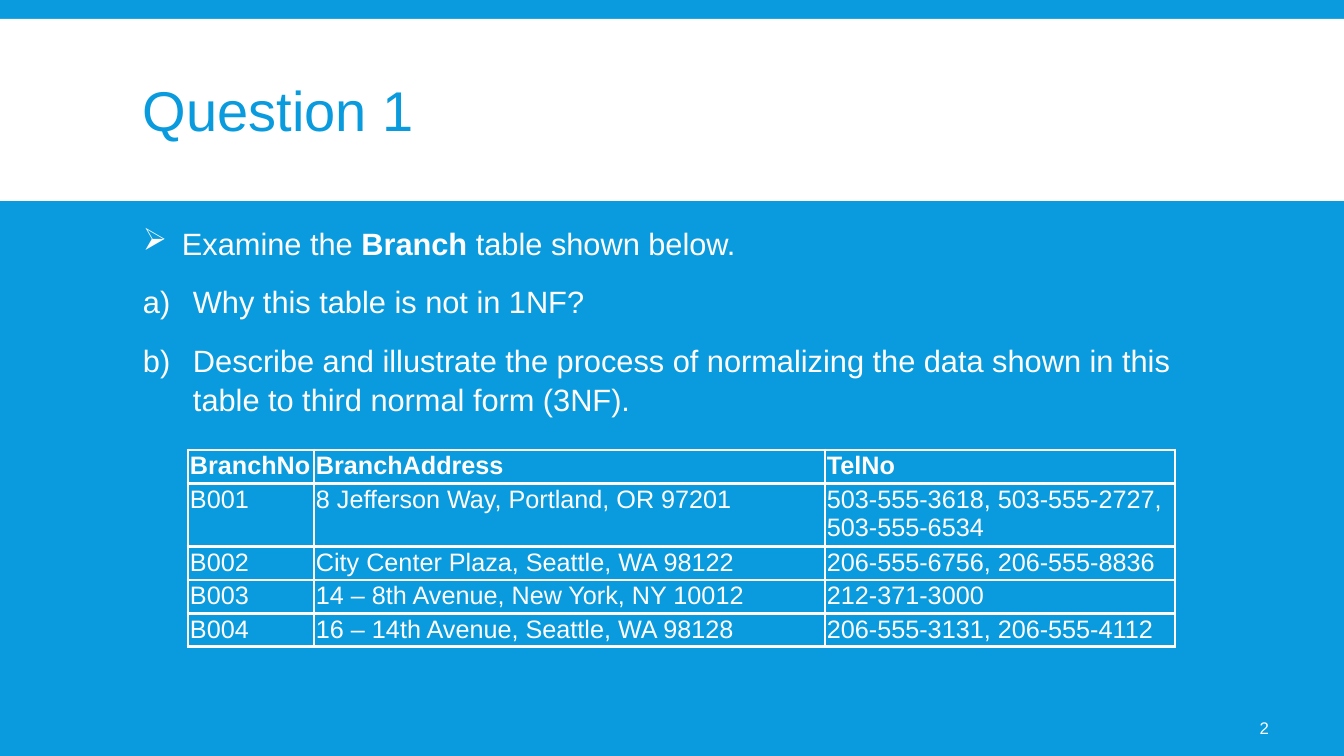
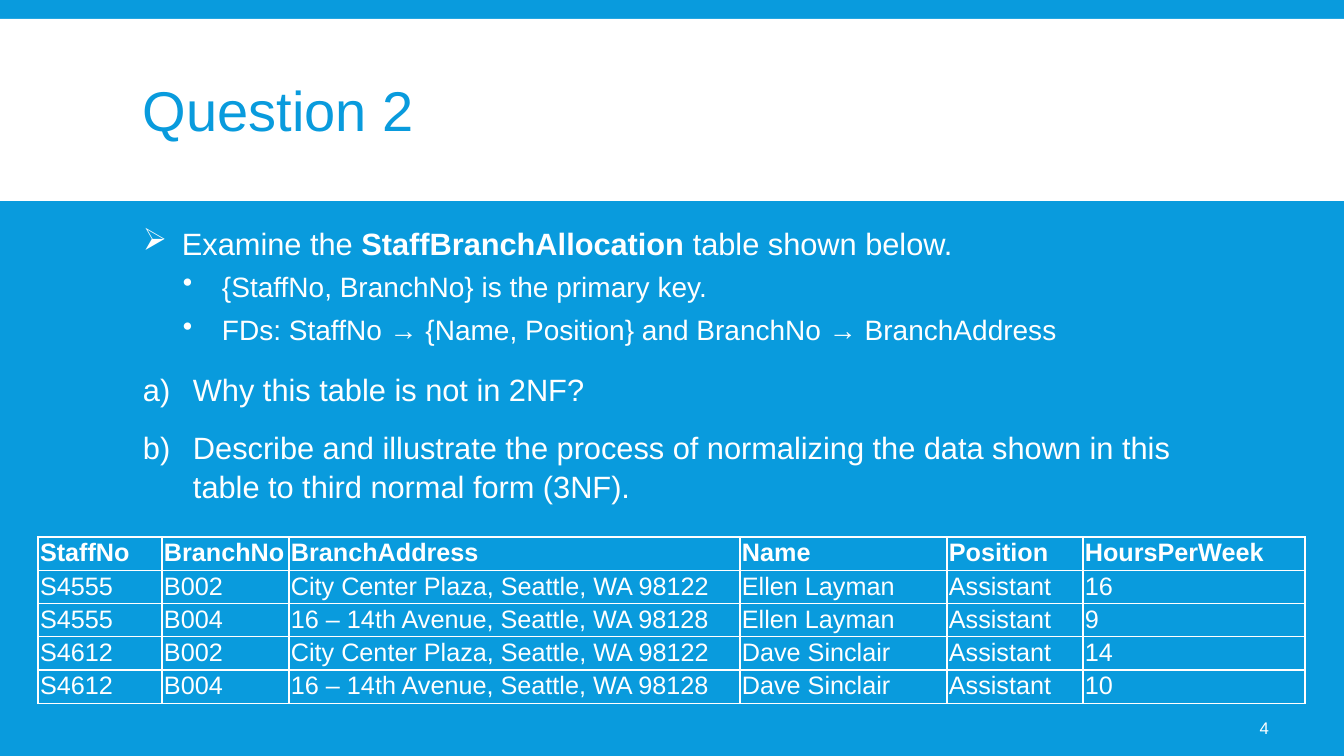
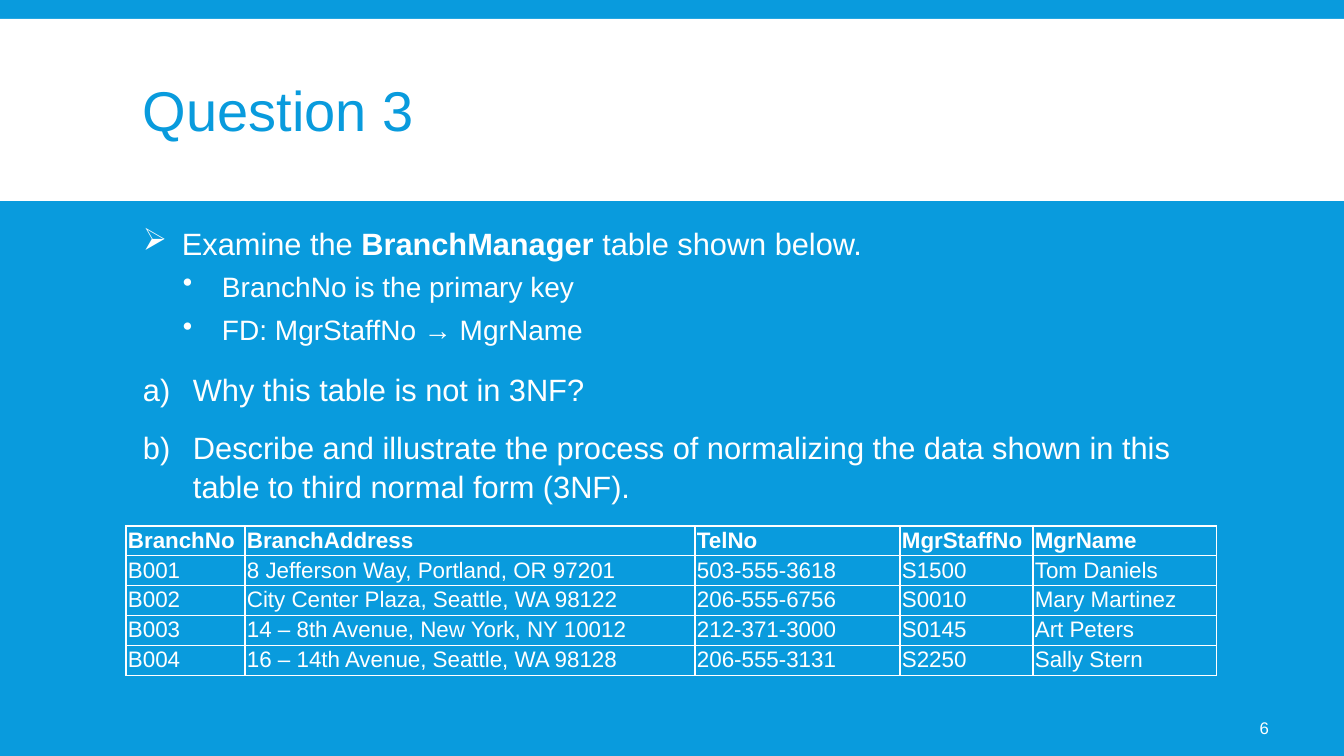
from dataclasses import dataclass
from typing import NamedTuple

from lxml.etree import SubElement
from pptx import Presentation
from pptx.dml.color import RGBColor
from pptx.enum.shapes import MSO_SHAPE
from pptx.enum.text import MSO_ANCHOR, PP_ALIGN
from pptx.oxml.ns import qn
from pptx.util import Emu, Pt

BLUE = RGBColor(0x09, 0x9B, 0xDD)
WHITE = RGBColor(0xFF, 0xFF, 0xFF)
FONT = "Arial"
SLIDE_WIDTH, SLIDE_HEIGHT = 1344, 756


def px(length: int) -> Emu:
    return Emu(round(length * 914400 / 100.8))


class Box(NamedTuple):
    left: int
    top: int
    width: int
    height: int

    def emu(self) -> list[Emu]:
        return [px(length) for length in self]


class Insets(NamedTuple):
    left: int
    top: int
    right: int
    bottom: int


BAND = Box(0, 19, SLIDE_WIDTH, 182)
TITLE = Box(133, 31, 1079, 166)
BODY = Box(133, 218, 1079, 464)
PAGE_NUMBER = Box(1175, 708, 104, 40)
TEXT_INSETS = Insets(10, 5, 10, 5)
NUMBER_INSETS = Insets(5, 5, 10, 5)
CELL_INSETS = Insets(2, 2, 2, 1)


class ListStyle(NamedTuple):
    size: int
    margin: int
    hanging: int
    before: int
    after: int
    bullet_tag: str
    bullet: dict[str, str]


LEAD = ListStyle(22, 39, 39, 12, 2, "a:buChar", {"char": "➢"})
FACT = ListStyle(20, 79, 39, 2, 4, "a:buChar", {"char": "•"})
TASK = ListStyle(22, 50, 50, 12, 2, "a:buAutoNum", {"type": "alphaLcParenR"})


@dataclass(frozen=True)
class DataTable:
    left: int
    top: int
    columns: tuple[int, ...]
    row_height: int
    size: int
    border: float
    rows: tuple[tuple[str, ...], ...]


@dataclass(frozen=True)
class Question:
    number: int
    table_name: str
    facts: tuple[str, ...]
    data: DataTable


PORTLAND = "8 Jefferson Way, Portland, OR 97201"
CITY_CENTER = "City Center Plaza, Seattle, WA 98122"
NEW_YORK = "14 – 8th Avenue, New York, NY 10012"
SEATTLE = "16 – 14th Avenue, Seattle, WA 98128"

QUESTIONS = (
    Question(1, "Branch", (), DataTable(
        188, 450, (126, 511, 350), 32, 18, 2.25, (
            ("BranchNo", "BranchAddress", "TelNo"),
            ("B001", PORTLAND, "503-555-3618, 503-555-2727, 503-555-6534"),
            ("B002", CITY_CENTER, "206-555-6756, 206-555-8836"),
            ("B003", NEW_YORK, "212-371-3000"),
            ("B004", SEATTLE, "206-555-3131, 206-555-4112"),
        ))),
    Question(2, "StaffBranchAllocation", (
        "{StaffNo, BranchNo} is the primary key.",
        "FDs: StaffNo → {Name, Position} and BranchNo → BranchAddress",
    ), DataTable(
        38, 537, (124, 127, 451, 207, 136, 222), 32, 18, 1, (
            ("StaffNo", "BranchNo", "BranchAddress", "Name", "Position", "HoursPerWeek"),
            ("S4555", "B002", CITY_CENTER, "Ellen Layman", "Assistant", "16"),
            ("S4555", "B004", SEATTLE, "Ellen Layman", "Assistant", "9"),
            ("S4612", "B002", CITY_CENTER, "Dave Sinclair", "Assistant", "14"),
            ("S4612", "B004", SEATTLE, "Dave Sinclair", "Assistant", "10"),
        ))),
    Question(3, "BranchManager", (
        "BranchNo is the primary key",
        "FD: MgrStaffNo → MgrName",
    ), DataTable(
        126, 526, (119, 450, 205, 133, 184), 29, 16, 1, (
            ("BranchNo", "BranchAddress", "TelNo", "MgrStaffNo", "MgrName"),
            ("B001", PORTLAND, "503-555-3618", "S1500", "Tom Daniels"),
            ("B002", CITY_CENTER, "206-555-6756", "S0010", "Mary Martinez"),
            ("B003", NEW_YORK, "212-371-3000", "S0145", "Art Peters"),
            ("B004", SEATTLE, "206-555-3131", "S2250", "Sally Stern"),
        ))),
)


def set_font(paragraph, size: int, color: RGBColor = WHITE, bold: bool = False) -> None:
    font = paragraph.font
    font.name, font.size, font.bold = FONT, Pt(size), bold
    font.color.rgb = color


def set_insets(target, insets: Insets) -> None:
    """Apply insets to a text frame or a table cell."""
    target.margin_left, target.margin_top = px(insets.left), px(insets.top)
    target.margin_right, target.margin_bottom = px(insets.right), px(insets.bottom)


def add_text_frame(slide, box: Box, anchor: MSO_ANCHOR, insets: Insets = TEXT_INSETS):
    frame = slide.shapes.add_textbox(*box.emu()).text_frame
    frame.word_wrap = True
    frame.vertical_anchor = anchor
    set_insets(frame, insets)
    return frame


def add_band(slide) -> None:
    band = slide.shapes.add_shape(MSO_SHAPE.RECTANGLE, *BAND.emu())
    band.shadow.inherit = False
    band.fill.solid()
    band.fill.fore_color.rgb = WHITE
    band.line.fill.background()


def add_title(slide, text: str) -> None:
    title = add_text_frame(slide, TITLE, MSO_ANCHOR.MIDDLE).paragraphs[0]
    title.text = text
    title.line_spacing = 0.85
    set_font(title, 40, BLUE)


def add_page_number(slide, page: int) -> None:
    number = add_text_frame(slide, PAGE_NUMBER, MSO_ANCHOR.MIDDLE, NUMBER_INSETS).paragraphs[0]
    number.text = str(page)
    number.alignment = PP_ALIGN.RIGHT
    set_font(number, 12)


def style_list_item(paragraph, style: ListStyle, first: bool) -> None:
    properties = paragraph._p.get_or_add_pPr()
    properties.set("marL", str(px(style.margin)))
    properties.set("indent", str(-px(style.hanging)))
    SubElement(properties, qn(style.bullet_tag), style.bullet)
    paragraph.line_spacing = 1.05
    if not first:
        paragraph.space_before = Pt(style.before)
    paragraph.space_after = Pt(style.after)
    set_font(paragraph, style.size)


def add_body(slide, question: Question) -> None:
    frame = add_text_frame(slide, BODY, MSO_ANCHOR.TOP)
    lead = frame.paragraphs[0]
    lead.add_run().text = "Examine the "
    table_name = lead.add_run()
    table_name.text = question.table_name
    table_name.font.bold = True
    lead.add_run().text = " table shown below."
    style_list_item(lead, LEAD, first=True)

    items = [(FACT, fact) for fact in question.facts] + [
        (TASK, f"Why this table is not in {question.number}NF?"),
        (TASK, "Describe and illustrate the process of normalizing the data "
               "shown in this table to third normal form (3NF)."),
    ]
    for style, text in items:
        item = frame.add_paragraph()
        item.text = text
        style_list_item(item, style, first=False)


def add_borders(cell, width: float) -> None:
    properties = cell._tc.get_or_add_tcPr()
    for side in ("a:lnL", "a:lnR", "a:lnT", "a:lnB"):
        line = SubElement(properties, qn(side), w=str(Pt(width)))
        fill = SubElement(line, qn("a:solidFill"))
        SubElement(fill, qn("a:srgbClr"), val=str(WHITE))


def add_data_table(slide, data: DataTable) -> None:
    box = Box(data.left, data.top, sum(data.columns), data.row_height * len(data.rows))
    table = slide.shapes.add_table(len(data.rows), len(data.columns), *box.emu()).table
    table.first_row = table.horz_banding = False
    for column, width in zip(table.columns, data.columns):
        column.width = px(width)
    for row_index, (row, texts) in enumerate(zip(table.rows, data.rows)):
        row.height = px(data.row_height)
        for cell, text in zip(row.cells, texts):
            cell.text = text
            set_insets(cell, CELL_INSETS)
            add_borders(cell, data.border)
            cell.fill.background()
            set_font(cell.text_frame.paragraphs[0], data.size, bold=row_index == 0)


def main() -> None:
    presentation = Presentation()
    presentation.slide_width, presentation.slide_height = px(SLIDE_WIDTH), px(SLIDE_HEIGHT)
    background = presentation.slide_master.background.fill
    background.solid()
    background.fore_color.rgb = BLUE
    blank = presentation.slide_layouts[6]
    for question in QUESTIONS:
        slide = presentation.slides.add_slide(blank)
        add_band(slide)
        add_title(slide, f"Question {question.number}")
        add_body(slide, question)
        add_page_number(slide, 2 * question.number)
        add_data_table(slide, question.data)
    presentation.save("out.pptx")


if __name__ == "__main__":
    main()
